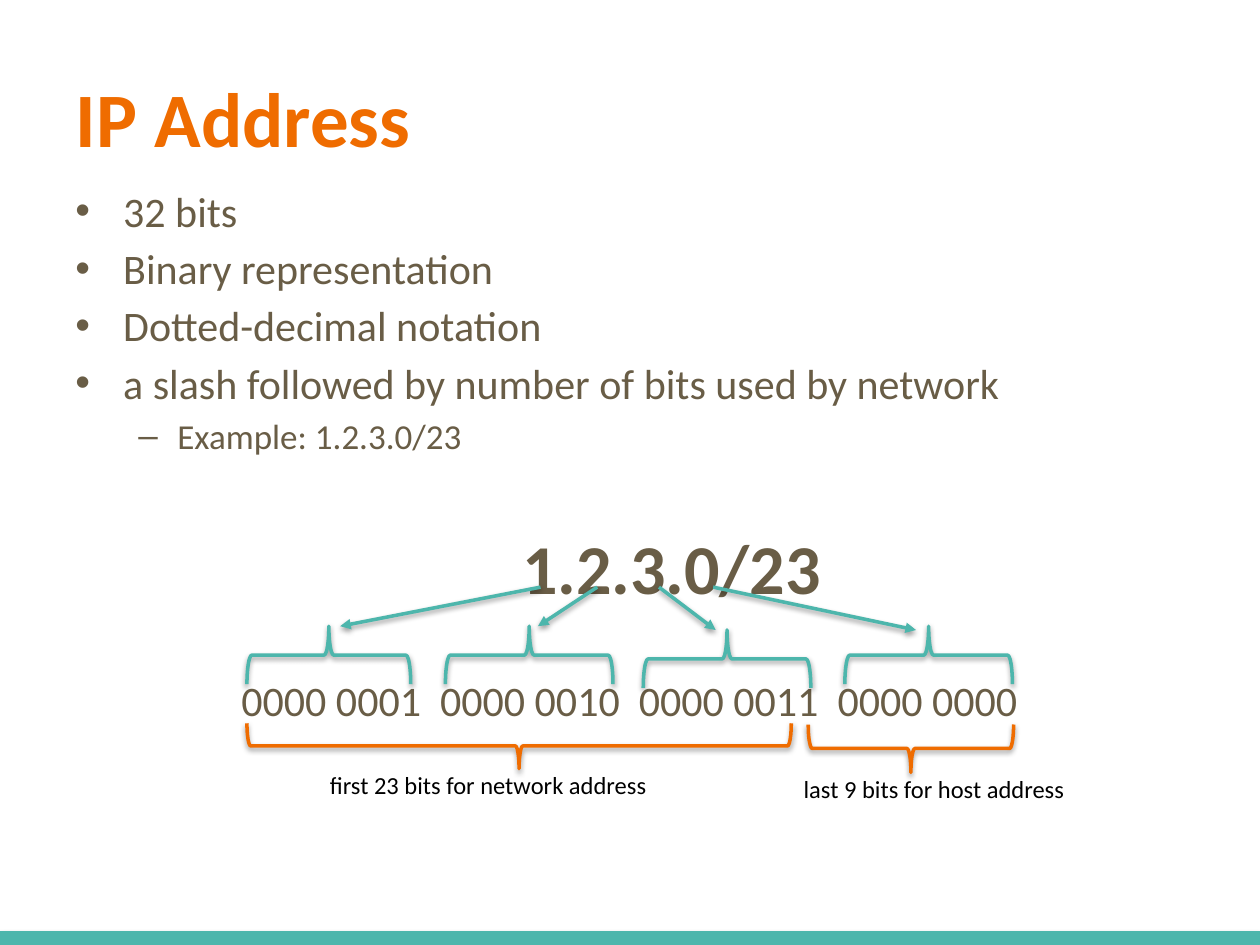
"""Build the IP Address slide with its annotated bit layout."""
from dataclasses import dataclass

from lxml.etree import SubElement
from pptx import Presentation
from pptx.dml.color import RGBColor
from pptx.enum.shapes import MSO_CONNECTOR as Connector, MSO_SHAPE as Shape
from pptx.enum.text import MSO_ANCHOR as Anchor, PP_ALIGN as Align
from pptx.oxml.ns import qn
from pptx.util import Inches, Pt

TEAL = RGBColor(0x4D, 0xB6, 0xAC)
ORANGE = RGBColor(0xEF, 0x6C, 0x00)
BROWN = RGBColor(0x69, 0x5D, 0x46)
BLACK = RGBColor(0, 0, 0)
FONT = "Calibri"


@dataclass(frozen=True)
class Octet:
    bits: str
    arrow_start: float
    arrow_end: tuple[float, float]
    brace_x: float
    brace_y: float
    brace_span: float


@dataclass(frozen=True)
class BitRange:
    caption: str
    caption_box: tuple[float, float, float, float]
    brace_x: float
    brace_y: float
    brace_span: float
    brace_depth: float


@dataclass(frozen=True)
class Bullet:
    text: str
    level: int = 0


OCTETS = (
    Octet("0000 0001", 4.29, (2.7, 4.97), 2.61, 5.2, 1.3),
    Octet("0000 0010", 4.74, (4.27, 4.97), 4.2, 5.2, 1.33),
    Octet("0000 0011", 5.23, (5.68, 5), 5.77, 5.23, 1.33),
    Octet("0000 0000", 5.66, (7.27, 5), 7.37, 5.2, 1.33),
)
RANGES = (
    BitRange("first 23 bits for network address", (2.52, 6.06, 2.74, 0.34), 4.12, 5.92, 4.32, 0.36),
    BitRange("last 9 bits for host address", (6.28, 6.09, 2.53, 0.34), 7.23, 5.94, 1.63, 0.38),
)
BULLETS = (
    Bullet("32 bits"),
    Bullet("Binary representation"),
    Bullet("Dotted-decimal notation"),
    Bullet("a slash followed by number of bits used by network"),
    Bullet("Example: 1.2.3.0/23", 1),
)
LEVELS = ((0.38, 0.38, "•", 24), (0.81, 0.31, "–", 20))
OCTET_LEFT, OCTET_PITCH = 1.83, 1.577


def write(paragraph, text: str, *, size: float, color: RGBColor = BROWN,
          bold: bool = False, align: Align = Align.LEFT) -> None:
    paragraph.text = text
    paragraph.alignment = align
    font = paragraph.font
    font.name, font.size, font.bold = FONT, Pt(size), bold
    font.color.rgb = color


def add_box(slide, left: float, top: float, width: float, height: float, inset: bool = True):
    frame = slide.shapes.add_textbox(Inches(left), Inches(top), Inches(width), Inches(height)).text_frame
    frame.word_wrap = True
    if not inset:
        frame.margin_left = frame.margin_right = frame.margin_top = frame.margin_bottom = 0
    return frame


def add_shadow(shape) -> None:
    effects = SubElement(shape._element.spPr, qn("a:effectLst"))
    shadow = SubElement(effects, qn("a:outerShdw"), blurRad="40000", dist="20000",
                        dir="5400000", rotWithShape="0")
    black = SubElement(shadow, qn("a:srgbClr"), val="000000")
    SubElement(black, qn("a:alpha"), val="38000")


def add_line(slide, start: tuple[float, float], end: tuple[float, float],
             width: float = 2, arrow: bool = False) -> None:
    ends = (Inches(value) for value in (*start, *end))
    line = slide.shapes.add_connector(Connector.STRAIGHT, *ends)
    line.line.color.rgb, line.line.width = TEAL, Pt(width)
    if arrow:
        SubElement(line.line._get_or_add_ln(), qn("a:tailEnd"), type="triangle")
    add_shadow(line)


def add_brace(slide, x: float, y: float, span: float, depth: float,
              rotation: int, color: RGBColor) -> None:
    brace = slide.shapes.add_shape(Shape.LEFT_BRACE, Inches(x - depth / 2), Inches(y - span / 2),
                                   Inches(depth), Inches(span))
    brace.rotation = rotation
    brace.fill.background()
    brace.line.color.rgb, brace.line.width = color, Pt(2)
    add_shadow(brace)


def add_bullets(slide, bullets: tuple[Bullet, ...]) -> None:
    frame = add_box(slide, 0.5, 1.42, 9, 2.4)
    for index, bullet in enumerate(bullets):
        paragraph = frame.add_paragraph() if index else frame.paragraphs[0]
        margin, hanging, mark, size = LEVELS[bullet.level]
        paragraph.level = bullet.level
        if index:
            paragraph.space_before = Pt(4)
        properties = paragraph._p.get_or_add_pPr()
        properties.set("marL", str(Inches(margin)))
        properties.set("indent", str(-Inches(hanging)))
        SubElement(properties, qn("a:buFont"), typeface="Arial")
        SubElement(properties, qn("a:buChar"), char=mark)
        write(paragraph, bullet.text, size=size)


def add_octet(slide, index: int, octet: Octet) -> None:
    bits = add_box(slide, OCTET_LEFT + index * OCTET_PITCH, 5.35, 1.6, 0.41, inset=False)
    write(bits.paragraphs[0], octet.bits, size=24, align=Align.CENTER)
    add_line(slide, (octet.arrow_start, 4.66), octet.arrow_end, arrow=True)
    add_brace(slide, octet.brace_x, octet.brace_y, octet.brace_span, 0.46, 90, TEAL)


def add_range(slide, bit_range: BitRange) -> None:
    add_brace(slide, bit_range.brace_x, bit_range.brace_y, bit_range.brace_span,
              bit_range.brace_depth, 270, ORANGE)
    caption = add_box(slide, *bit_range.caption_box)
    caption.word_wrap = False
    write(caption.paragraphs[0], bit_range.caption, size=14, color=BLACK)


def main() -> None:
    deck = Presentation()
    deck.slide_width, deck.slide_height = Inches(10), Inches(7.5)
    slide = deck.slides.add_slide(deck.slide_layouts[5])
    add_line(slide, (0, 7.46), (10, 7.46), width=10)

    title = slide.shapes.title
    title.left, title.top, title.width, title.height = (Inches(v) for v in (0.5, 0.3, 9, 1.25))
    title.text_frame.vertical_anchor = Anchor.MIDDLE
    write(title.text_frame.paragraphs[0], "IP Address", size=44, color=ORANGE, bold=True)

    add_bullets(slide, BULLETS)
    address = add_box(slide, 3.83, 4.16, 3, 0.68, inset=False)
    write(address.paragraphs[0], "1.2.3.0/23", size=40, bold=True, align=Align.CENTER)
    for index, octet in enumerate(OCTETS):
        add_octet(slide, index, octet)
    for bit_range in RANGES:
        add_range(slide, bit_range)
    deck.save("out.pptx")


if __name__ == "__main__":
    main()
